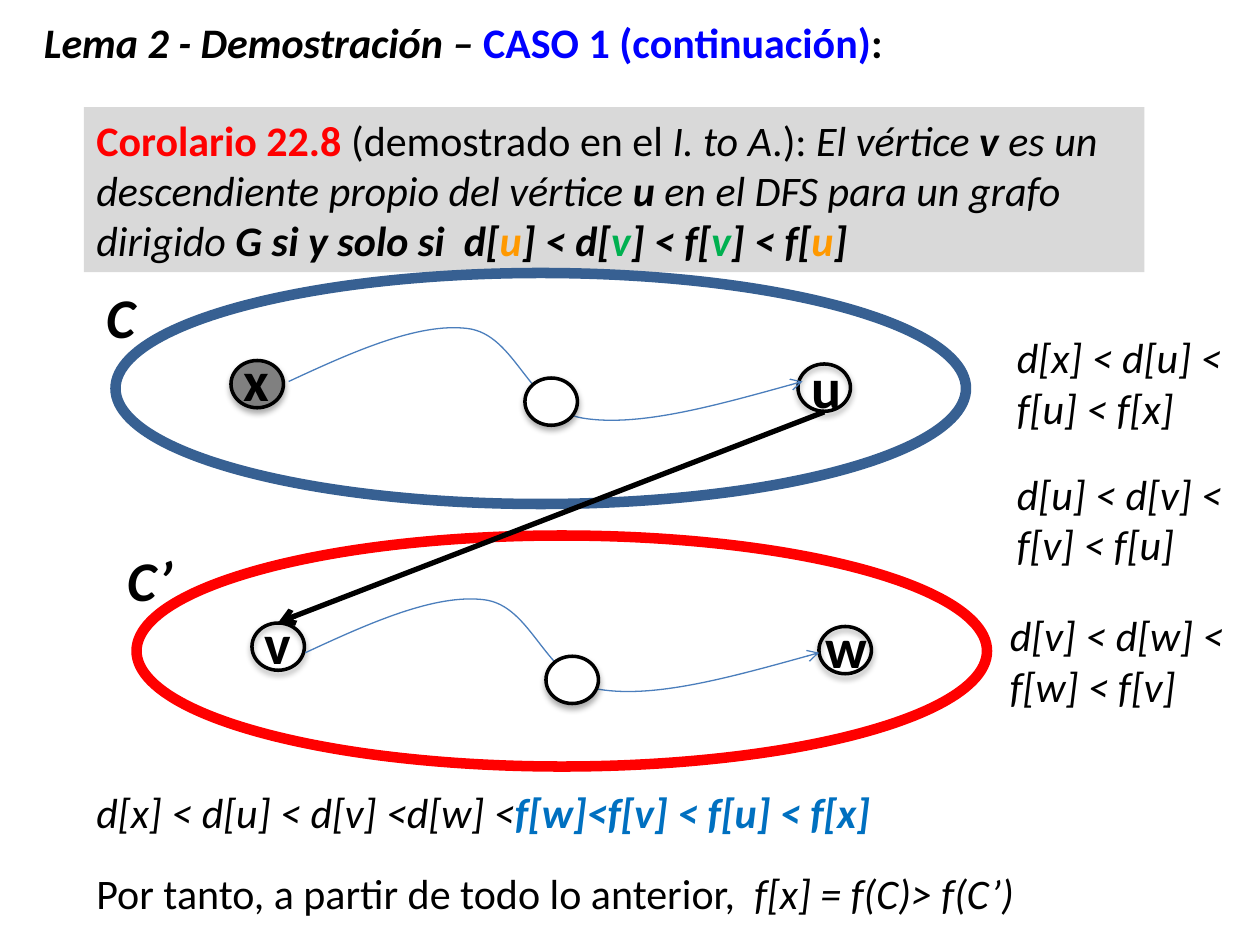
from lxml import etree
from pptx import Presentation
from pptx.dml.color import RGBColor
from pptx.enum.shapes import MSO_CONNECTOR, MSO_SHAPE
from pptx.enum.text import MSO_ANCHOR, PP_ALIGN
from pptx.oxml import parse_xml
from pptx.oxml.ns import qn
from pptx.util import Pt

OVAL, RECTANGLE = MSO_SHAPE.OVAL, MSO_SHAPE.RECTANGLE
STRAIGHT = MSO_CONNECTOR.STRAIGHT
LEFT, MIDDLE = PP_ALIGN.LEFT, MSO_ANCHOR.MIDDLE
NAMESPACE = 'xmlns:a="http://schemas.openxmlformats.org/drawingml/2006/main"'
COLORS = {
    "black": "000000", "white": "FFFFFF", "panel": "D9D9D9", "visited": "808080",
    "red": "FF0000", "title": "0000FF", "orange": "FF9900", "green": "00B050",
    "finish": "0070C0", "component": "376092", "curve": "4B7EBC",
}
COLORS = {name: RGBColor.from_string(value) for name, value in COLORS.items()}


def write(shape, runs, size=24):
    """Fill a shape with one paragraph of (text, style letters, colour) runs."""
    shape.text_frame.word_wrap = True
    paragraph = shape.text_frame.paragraphs[0]
    paragraph.alignment = LEFT
    paragraph.font.name = "Calibri"
    paragraph.font.size = Pt(size)
    for text, style, color in runs:
        run = paragraph.add_run()
        run.text = text
        run.font.bold = "b" in style
        run.font.italic = "i" in style
        run.font.color.rgb = COLORS[color]


def add_oval(left, top, width, height, line, weight, fill=None, shadow=False):
    """Draw an outlined oval, with an optional fill and soft shadow."""
    oval = slide.shapes.add_shape(OVAL, Pt(left), Pt(top), Pt(width), Pt(height))
    oval.line.color.rgb = COLORS[line]
    oval.line.width = Pt(weight)
    if fill:
        oval.fill.solid()
        oval.fill.fore_color.rgb = COLORS[fill]
    else:
        oval.fill.background()
    oval.shadow.inherit = False
    if shadow:
        oval._element.spPr.find(qn("a:effectLst")).append(parse_xml(
            f'<a:outerShdw {NAMESPACE} blurRad="{Pt(3.5)}" dist="{Pt(2.2)}" dir="5400000" '
            'rotWithShape="0"><a:srgbClr val="000000"><a:alpha val="32000"/></a:srgbClr>'
            '</a:outerShdw>'))


presentation = Presentation()
presentation.slide_width, presentation.slide_height = Pt(720), Pt(540)
slide = presentation.slides.add_slide(presentation.slide_layouts[6])

corollary = slide.shapes.add_shape(RECTANGLE, Pt(48), Pt(61.2), Pt(606), Pt(94.4))
corollary.fill.solid()
corollary.fill.fore_color.rgb = COLORS["panel"]
corollary.line.fill.background()
corollary.shadow.inherit = False
corollary.text_frame.vertical_anchor = MIDDLE
write(corollary, [
    ("Corolario 22.8 ", "b", "red"), ("(demostrado en el ", "", "black"),
    ("I. to A", "i", "black"), (".): ", "", "black"),
    ("El vértice ", "i", "black"), ("v ", "bi", "black"),
    ("es un descendiente propio del vértice ", "i", "black"), ("u", "bi", "black"),
    (" en el DFS para un grafo dirigido ", "i", "black"),
    ("G si y solo si  d[", "bi", "black"), ("u", "bi", "orange"),
    ("] < d[", "bi", "black"), ("v", "bi", "green"),
    ("] < f[", "bi", "black"), ("v", "bi", "green"),
    ("] < f[", "bi", "black"), ("u", "bi", "orange"), ("] ", "bi", "black"),
])

# Strongly connected components: position, outline, label
for left, top, color, label in [(66, 156, "component", "C"), (78, 306, "red", "C’")]:
    add_oval(left, top, 486, 132, color, 6)
    label_box = slide.shapes.add_textbox(Pt(left - 12), Pt(top + 2), Pt(114), Pt(46))
    write(label_box, [(label, "bi", "black")], 32)

# Named vertices: position, fill, letter, letter position
for left, top, fill, letter, letter_left, letter_top in [
    (132, 206, "visited", "x", 132, 194), (456, 208, None, "u", 456.5, 198),
    (144, 356, None, "v", 144, 344), (468, 358, None, "w", 464.5, 346.5),
]:
    add_oval(left, top, 30, 27, "black", 2, fill, shadow=True)
    letter_box = slide.shapes.add_textbox(Pt(letter_left), Pt(letter_top), Pt(42), Pt(46))
    write(letter_box, [(letter, "b", "black")], 32)

edge = slide.shapes.add_connector(STRAIGHT, Pt(471), Pt(235.4), Pt(159), Pt(355.7))
edge.line.color.rgb = COLORS["black"]
edge.line.width = Pt(3)
etree.SubElement(edge.line._get_or_add_ln(), qn("a:tailEnd"), type="arrow")
etree.SubElement(edge._element.spPr, qn("a:effectLst"))

# Curved paths, each passing behind an unnamed vertex
CURVE_START = (165, 218)
CURVE_SEGMENTS = [
    [(201.6, 201), (239, 184.3), (267, 187.7)],
    [(295.2, 191), (301.7, 234), (333.4, 239)],
    [(365, 244), (411.8, 231), (458.6, 218)],
]
for shift_x, shift_y, vertex_left, vertex_top in [(0, 0, 300, 216), (9.5, 155, 312, 375)]:
    builder = slide.shapes.build_freeform(
        Pt(CURVE_START[0] + shift_x), Pt(CURVE_START[1] + shift_y))
    builder.add_line_segments(
        [(Pt(x + shift_x), Pt(y + shift_y)) for *_, (x, y) in CURVE_SEGMENTS], close=False)
    curve = builder.convert_to_shape()
    segments = list(curve._element.spPr.iter(qn("a:lnTo")))
    for segment, points in zip(segments, CURVE_SEGMENTS):
        bezier = etree.Element(qn("a:cubicBezTo"))
        for x, y in points:
            etree.SubElement(bezier, qn("a:pt"), x=str(Pt(x + shift_x) - curve.left),
                             y=str(Pt(y + shift_y) - curve.top))
        segment.getparent().replace(segment, bezier)
    curve.fill.background()
    curve.line.color.rgb = COLORS["curve"]
    curve.line.width = Pt(0.75)
    etree.SubElement(curve.line._get_or_add_ln(), qn("a:tailEnd"), type="arrow")
    curve.shadow.inherit = False
    add_oval(vertex_left, vertex_top, 30, 27, "black", 2, "white", shadow=True)

# Free text: position, size, runs
for left, top, width, height, runs in [
    (18, 6, 696, 36, [("Lema 2 - Demostración – ", "bi", "black"),
                      ("CASO 1 (continuación)", "b", "title"), (":", "b", "black")]),
    (574, 186, 150, 87, [("d[x] < d[u] < f[u] < f[x] ", "i", "black")]),
    (574, 264, 150, 87, [("d[u] < d[v] < f[v] < f[u] ", "i", "black")]),
    (570, 345, 150, 87, [("d[v] < d[w] < f[w] < f[v] ", "i", "black")]),
    (48, 446, 606, 36, [("d[x] < d[u] < d[v] <d[w] <", "i", "black"),
                        ("f[w]<f[v] < f[u] < f[x]", "bi", "finish")]),
    (48, 492, 606, 36, [("Por tanto, a partir de todo lo anterior,  ", "", "black"),
                        ("f[x] = f(C)> f(C’)", "i", "black")]),
]:
    text_box = slide.shapes.add_textbox(Pt(left), Pt(top), Pt(width), Pt(height))
    write(text_box, runs)

presentation.save("out.pptx")
